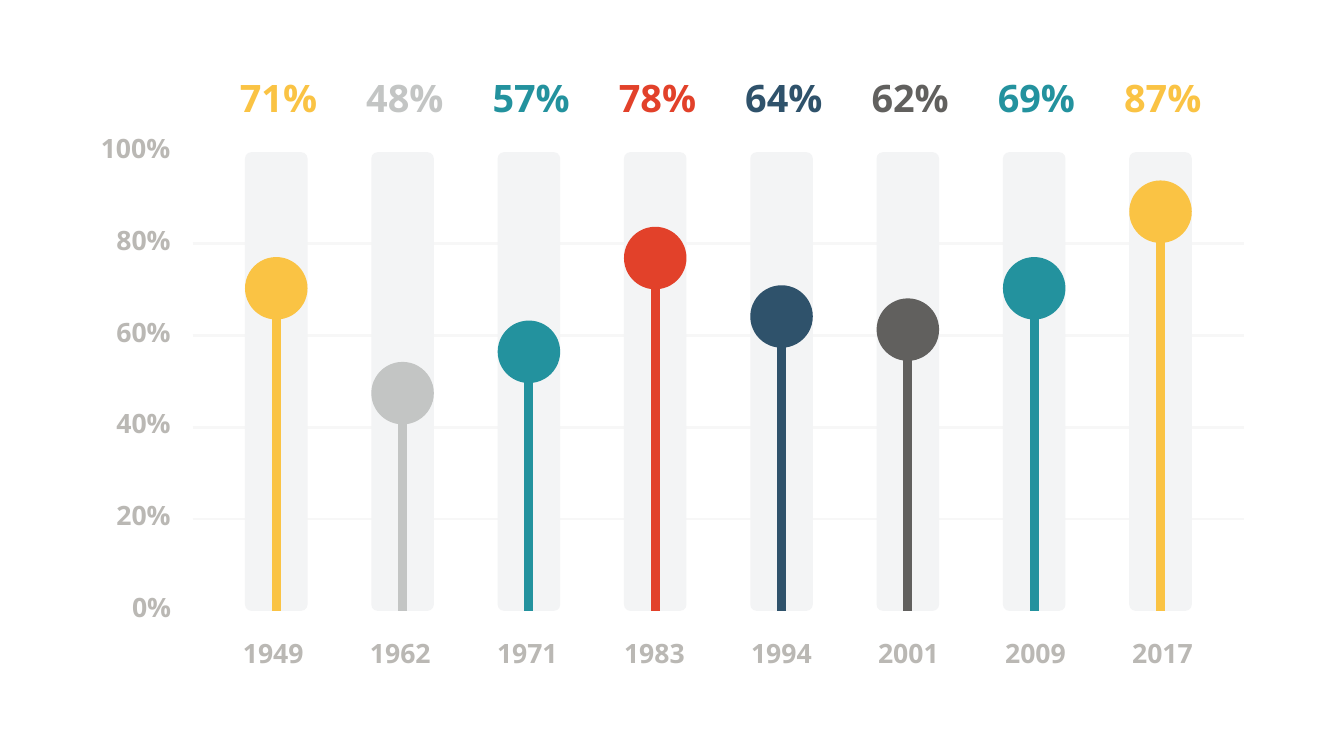
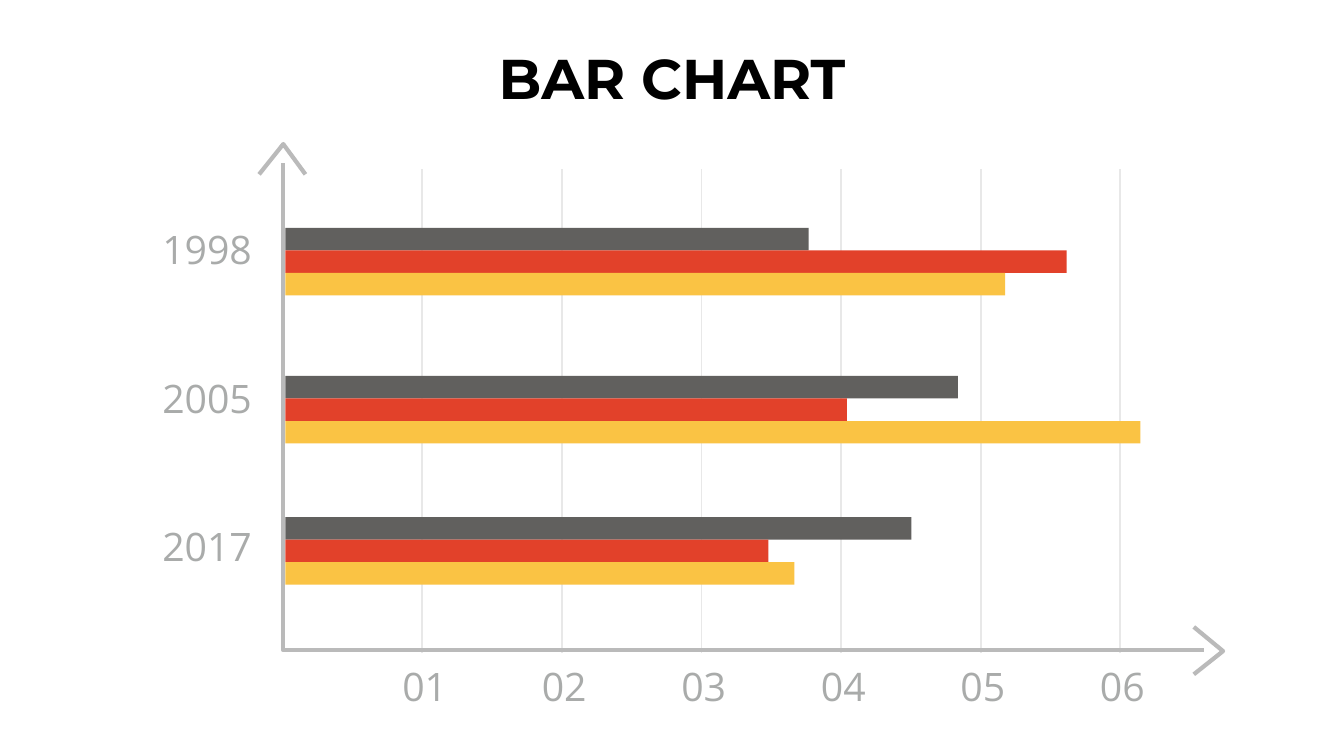
from pptx import Presentation
from pptx.dml.color import RGBColor as Rgb
from pptx.enum.shapes import MSO_CONNECTOR as Link, MSO_SHAPE as Form
from pptx.enum.text import MSO_ANCHOR as Anchor, MSO_AUTO_SIZE as Fit, PP_ALIGN as Align
from pptx.oxml.xmlchemy import OxmlElement as Node
from pptx.util import Inches, Pt

HUE = {
    "gold": "FAC344", "silver": "C3C5C4", "teal": "23929E", "red": "E2412A",
    "navy": "2F526B", "gray": "61605E", "track": "F3F4F5", "rule": "F7F7F7",
    "grid": "E8E8E8", "axis": "BABABA", "label": "BAB8B4", "mark": "A9ABAA",
    "black": "000000",
}

POLES = [
    ("1949", "71%", 2.55, "gold"), ("1962", "48%", 3.59, "silver"),
    ("1971", "57%", 3.18, "teal"), ("1983", "78%", 2.25, "red"),
    ("1994", "64%", 2.83, "navy"), ("2001", "62%", 2.96, "gray"),
    ("2009", "69%", 2.55, "teal"), ("2017", "87%", 1.79, "gold"),
]
BASE, DOT, STEP = 6.06, 0.62, 0.91
PITCH = 8.77 / 7

BARS = [
    ("1998", 2.26, (5.19, 7.75, 7.14)),
    ("2005", 3.73, (6.67, 5.57, 8.48)),
    ("2017", 5.13, (6.21, 4.79, 5.05)),
]
TONES = ("gray", "red", "gold")
THICK = 0.67 / 3
AXES = [
    [(2.81, 1.62), (2.81, 6.45), (11.94, 6.45)],
    [(2.57, 1.73), (2.81, 1.43), (3.03, 1.73)],
    [(11.84, 6.22), (12.13, 6.46), (11.84, 6.69)],
]


def tint(name):
    """Return the named colour."""
    return Rgb.from_string(HUE[name])


def write(frame, text, size, hue, font="Open Sans", bold=False, align=Align.LEFT):
    """Fill a text frame with one formatted run."""
    frame.margin_left = frame.margin_right = 0
    frame.margin_top = frame.margin_bottom = 0
    frame.word_wrap = True
    frame.auto_size = Fit.NONE
    frame.vertical_anchor = Anchor.TOP
    para = frame.paragraphs[0]
    para.alignment = align
    run = para.add_run()
    run.text = text
    run.font.name, run.font.size, run.font.bold = font, Pt(size), bold
    run.font.color.rgb = tint(hue)


def add_label(slide, box, text, size, hue, bold=False):
    """Add a text box."""
    area = slide.shapes.add_textbox(*map(Inches, box))
    write(area.text_frame, text, size, hue, bold=bold)


def add_title(slide, text):
    """Place and fill the title placeholder."""
    title = slide.shapes.title
    title.left, title.top, title.width, title.height = map(Inches, (4.38, 0.43, 4.57, 0.66))
    write(title.text_frame, text, 40, "black", "Montserrat", True, Align.CENTER)


def add_form(slide, kind, box, hue):
    """Add a filled preset shape without outline."""
    shape = slide.shapes.add_shape(kind, *map(Inches, box))
    shape.shadow.inherit = False
    shape.fill.solid()
    shape.fill.fore_color.rgb = tint(hue)
    shape.line.fill.background()
    return shape


def add_line(slide, ends, hue, width):
    """Add a straight line."""
    line = slide.shapes.add_connector(Link.STRAIGHT, *map(Inches, ends))
    line.line.color.rgb = tint(hue)
    line.line.width = Pt(width)
    line._element.spPr.append(Node("a:effectLst"))


def add_path(slide, points, hue, width):
    """Add an open outline through the points."""
    first, *rest = [(Inches(x), Inches(y)) for x, y in points]
    pen = slide.shapes.build_freeform(*first)
    pen.add_line_segments(rest, close=False)
    shape = pen.convert_to_shape()
    shape.shadow.inherit = False
    shape.fill.background()
    shape.line.color.rgb = tint(hue)
    shape.line.width = Pt(width)


def add_scale(slide):
    """Add the percent labels of the vertical scale."""
    for i in range(6):
        text = f"{20 * i}%"
        left = 1.62 - 0.155 * len(text)
        add_label(slide, (left, 5.86 - STEP * i, 1.85 - left, 0.44), text, 19, "label", True)


def add_pole(slide, left, top, hue):
    """Add a dot on its stem."""
    mid = left + DOT / 2
    add_form(slide, Form.OVAL, (left, top, DOT, DOT), hue)
    add_line(slide, (mid, top + DOT / 2, mid, BASE), hue, 6.37)


def draw_poles(slide):
    """Draw the percent slide."""
    for i in range(1, 5):
        y = BASE - STEP * i
        add_line(slide, (1.91, y, 12.34, y), "rule", 2)
    for i, (year, share, top, hue) in enumerate(POLES):
        left = 2.43 + PITCH * i
        track = add_form(slide, Form.ROUNDED_RECTANGLE, (left, 1.51, DOT, 4.55), "track")
        track.adjustments[0] = 0.1
        add_pole(slide, left, top, hue)
        add_label(slide, (left - 0.05, 0.74, 0.97, 0.62), share, 27, hue, True)
        add_label(slide, (2.41 + 1.26 * i, 6.32, 0.77, 0.44), year, 19, "label", True)
    add_scale(slide)


def draw_bars(slide):
    """Draw the bar chart slide."""
    add_title(slide, "BAR CHART")
    for i in range(6):
        x = 4.19 + 6.92 / 5 * i
        add_line(slide, (x, 6.48, x, 1.68), "grid", 1.37)
        add_label(slide, (x - 0.2, 6.57, 0.68, 0.64), f"{i + 1:02}", 28, "mark")
    for points in AXES:
        add_path(slide, points, "axis", 3)
    for i, (year, top, spans) in enumerate(BARS):
        add_label(slide, (1.61, 2.24 + 1.47 * i, 1.12, 0.64), year, 28, "mark")
        for j, (span, hue) in enumerate(zip(spans, TONES)):
            add_form(slide, Form.RECTANGLE, (2.83, top + THICK * j, span, THICK), hue)


def main():
    """Build and save both slides."""
    deck = Presentation()
    deck.slide_width, deck.slide_height = Inches(13.33), Inches(7.5)
    title_only, blank = deck.slide_layouts[5], deck.slide_layouts[6]
    draw_poles(deck.slides.add_slide(blank))
    draw_bars(deck.slides.add_slide(title_only))
    deck.save("out.pptx")


main()
